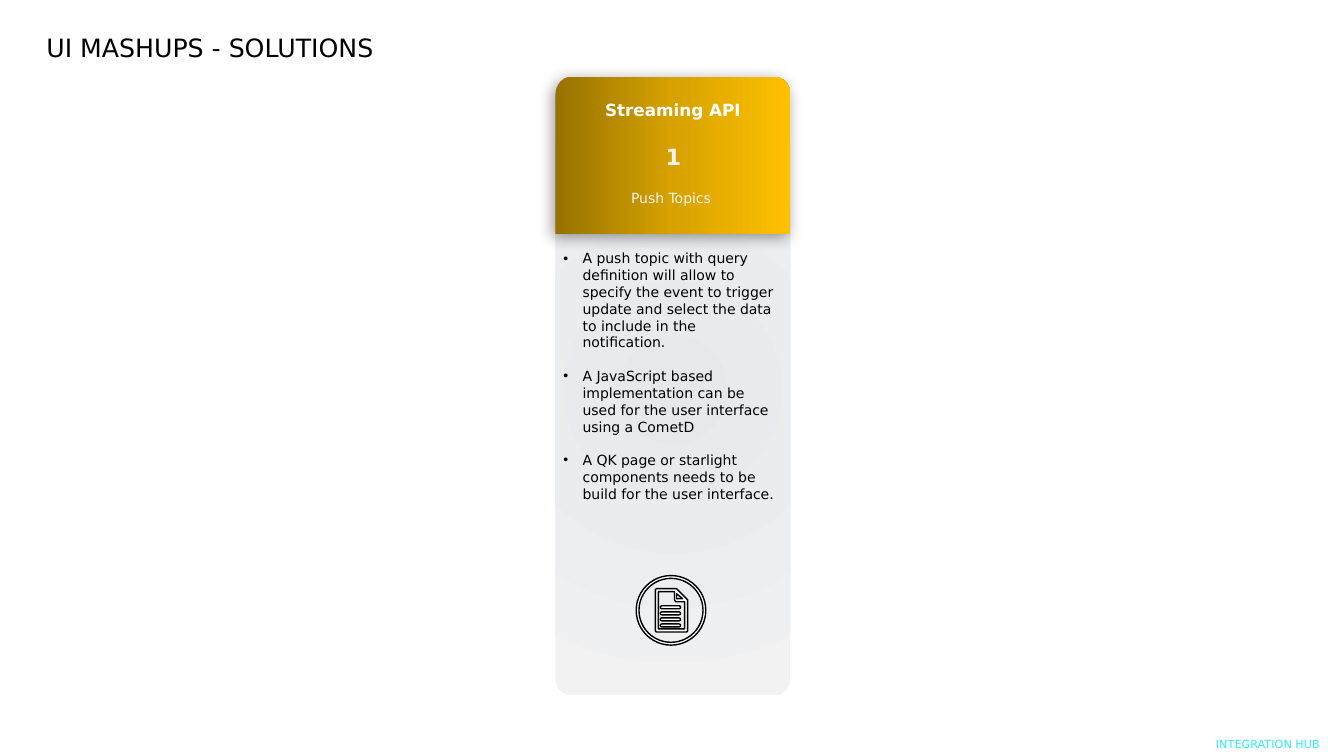
from lxml import etree
from pptx import Presentation
from pptx.dml.color import RGBColor
from pptx.enum import shapes as kinds, text as enums
from pptx.oxml import parse_xml
from pptx.oxml.ns import qn
from pptx.util import Inches, Pt

FONT = "DejaVu Sans"
COLORS = {"black": "000000", "white": "FFFFFF", "pale": "F2F2F2", "mist": "E5E9EC",
          "bronze": "977200", "amber": "D7A200", "gold": "FFC000", "cyan": "32E9FF"}
TITLE = "UI MASHUPS - SOLUTIONS"
# text, box, size, color, bold, letter spacing, wrap
HEADS = [
    ("Streaming API", (5.51, 0.94, 2.33, 0.3), 12, "white", True, 0, True),
    ("1", (5.83, 1.37, 1.7, 0.37), 16, "pale", True, 3, True),
    ("Push Topics", (6.14, 1.83, 1.03, 0.27), 10, "pale", False, 0, False),
]
POINTS = [
    "A push topic with query definition will allow to specify the event to trigger "
    "update and select the data to include in the notification.",
    "A JavaScript based implementation can be used for the user interface using a CometD",
    "A QK page or starlight components needs to be build for the user interface.",
]
FOOTER = "INTEGRATION HUB"
PANEL = (5.51, 0.83, 2.33, 6.07)
HEADER = (5.51, 0.76, 2.33, 1.56)
RING = (6.31, 5.71, 0.69, 0.69)
PAGE = [  # sheet, folded corner, inner area
    [(6.51, 5.84), (6.71, 5.84), (6.82, 5.95), (6.82, 6.26), (6.81, 6.27),
     (6.51, 6.27), (6.5, 6.26), (6.5, 5.85)],
    [(6.71, 5.89), (6.77, 5.94), (6.71, 5.94)],
    [(6.53, 6.24), (6.53, 5.87), (6.69, 5.87), (6.69, 5.95), (6.7, 5.97),
     (6.79, 5.97), (6.79, 6.24)],
]
ROWS, ROW_TOP, ROW_STEP = 4, 6.01, 0.06

NS = 'xmlns:a="http://schemas.openxmlformats.org/drawingml/2006/main"'
KIND = kinds.MSO_SHAPE


def rgb(name):
    return RGBColor.from_string(COLORS[name])


def place(shape, box):
    shape.left, shape.top, shape.width, shape.height = map(Inches, box)


def add(slide, kind, box, *adjs):
    shape = slide.shapes.add_shape(kind, *map(Inches, box))
    for i, adj in enumerate(adjs):
        shape.adjustments[i] = adj
    shape.shadow.inherit = False
    return shape


def grade(shape, stops, shade):
    """Fill with a gradient and no outline."""
    shape.line.fill.background()
    shape.fill.background()
    marks = "".join(f'<a:gs pos="{pos * 1000}"><a:srgbClr val="{COLORS[name]}"/></a:gs>'
                    for pos, name in stops)
    fill = parse_xml(f"<a:gradFill {NS}><a:gsLst>{marks}</a:gsLst>{shade}</a:gradFill>")
    props = shape.element.spPr
    props.replace(props.find(qn("a:noFill")), fill)


def cast(shape):
    """Drop a soft shadow to the lower left."""
    effects = shape.element.spPr.find(qn("a:effectLst"))
    effects.append(parse_xml(
        f'<a:outerShdw {NS} blurRad="{Pt(11)}" dist="{Pt(3)}" dir="8100000" rotWithShape="0">'
        f'<a:srgbClr val="{COLORS["black"]}"><a:alpha val="40000"/></a:srgbClr></a:outerShdw>'))


def ink(shape):
    shape.fill.solid()
    shape.fill.fore_color.rgb = rgb("white")
    shape.line.color.rgb = rgb("black")
    shape.line.width = Pt(1)


def write(par, words, size, color, bold=False):
    run = par.add_run()
    run.text = words
    font = run.font
    font.name, font.size, font.bold = FONT, Pt(size), bold
    font.color.rgb = rgb(color)
    return run


def textbox(slide, box, wrap=True):
    frame = slide.shapes.add_textbox(*map(Inches, box)).text_frame
    frame.word_wrap = wrap
    return frame


def bullet(par):
    props = par._p.get_or_add_pPr()
    props.set("marL", str(Inches(0.19)))
    props.set("indent", str(-Inches(0.19)))
    etree.SubElement(props, qn("a:buFont")).set("typeface", "Arial")
    etree.SubElement(props, qn("a:buChar")).set("char", "•")


def card(slide):
    panel = add(slide, KIND.ROUNDED_RECTANGLE, PANEL, 0.07)
    grade(panel, [(0, "mist"), (100, "pale")],
          '<a:path path="circle"><a:fillToRect l="50000" t="50000" r="50000" b="50000"/></a:path>')
    header = add(slide, KIND.ROUND_2_SAME_RECTANGLE, HEADER, 0.11, 0)
    grade(header, [(0, "bronze"), (50, "amber"), (100, "gold")], '<a:lin ang="0" scaled="0"/>')
    cast(header)

    frame = textbox(slide, (5.49, 2.43, 2.33, 2.63))
    for i, point in enumerate(POINTS):
        par = frame.add_paragraph() if i else frame.paragraphs[0]
        par.space_before = Pt(12)
        bullet(par)
        write(par, point, 10, "black")

    for words, box, size, color, bold, gap, wrap in HEADS:
        par = textbox(slide, box, wrap).paragraphs[0]
        par.alignment = enums.PP_ALIGN.CENTER
        run = write(par, words, size, color, bold)
        if gap:
            run.font._element.set("spc", str(gap * 100))


def icon(slide):
    ink(add(slide, KIND.DONUT, RING, 0.04))
    rings = [[(Inches(x), Inches(y)) for x, y in ring] for ring in PAGE]
    pen = slide.shapes.build_freeform(*rings[0][0])
    for i, ring in enumerate(rings):
        if i:
            pen.move_to(*ring[0])
        pen.add_line_segments(ring[1:], close=True)
    page = pen.convert_to_shape()
    page.shadow.inherit = False
    ink(page)
    for i in range(ROWS):
        ink(add(slide, KIND.ROUNDED_RECTANGLE, (6.55, ROW_TOP + i * ROW_STEP, 0.2, 0.03), 0.5))


def main():
    deck = Presentation()
    deck.slide_width, deck.slide_height = Inches(13.33), Inches(7.5)
    slide = deck.slides.add_slide(deck.slide_layouts[5])

    title = slide.shapes.title
    place(title, (0.36, 0.27, 12.19, 0.4))
    title.text_frame.vertical_anchor = enums.MSO_ANCHOR.TOP
    title.text_frame.auto_size = enums.MSO_AUTO_SIZE.NONE
    par = title.text_frame.paragraphs[0]
    par.alignment = enums.PP_ALIGN.LEFT
    write(par, TITLE, 18, "black")

    card(slide)

    frame = textbox(slide, (12.06, 7.33, 1.28, 0.17))
    frame.margin_left = frame.margin_right = frame.margin_top = frame.margin_bottom = 0
    par = frame.paragraphs[0]
    par.line_spacing, par.space_before = 0.9, Pt(10)
    write(par, FOOTER, 8, "cyan")

    icon(slide)
    deck.save("out.pptx")


if __name__ == "__main__":
    main()
